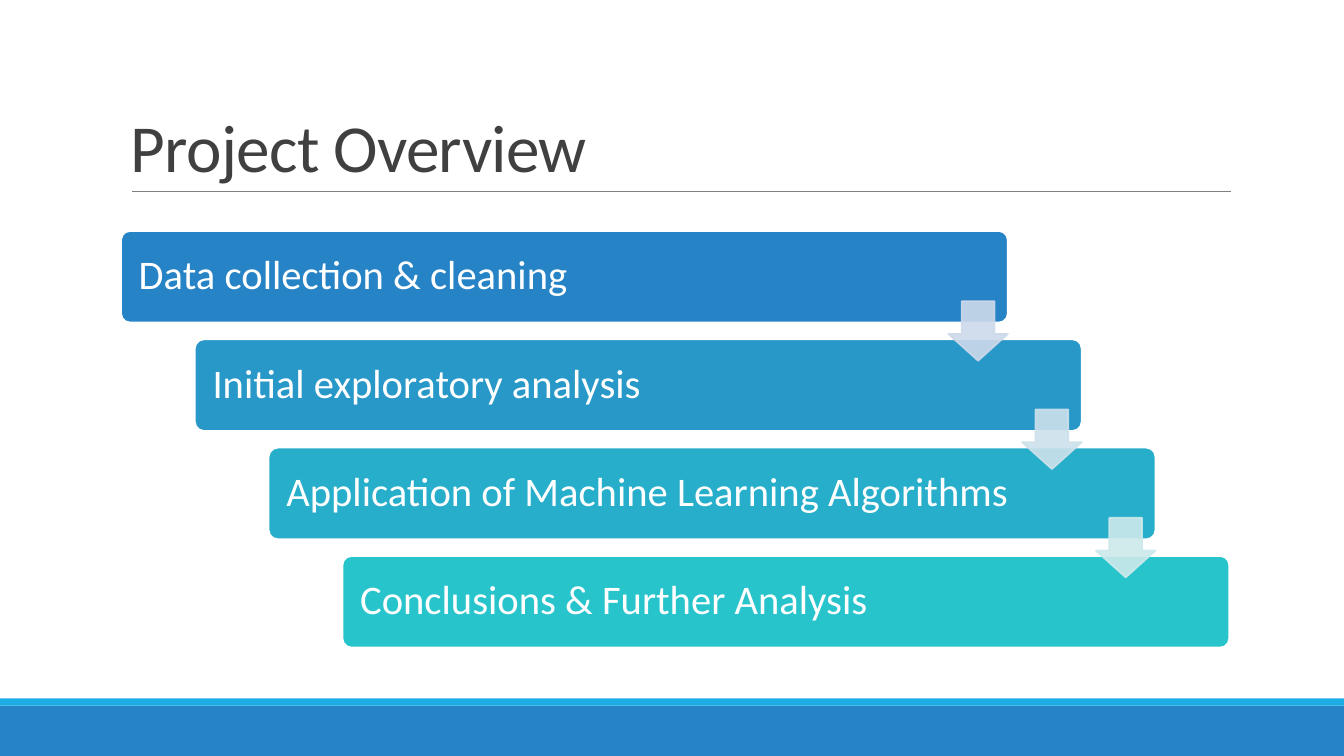
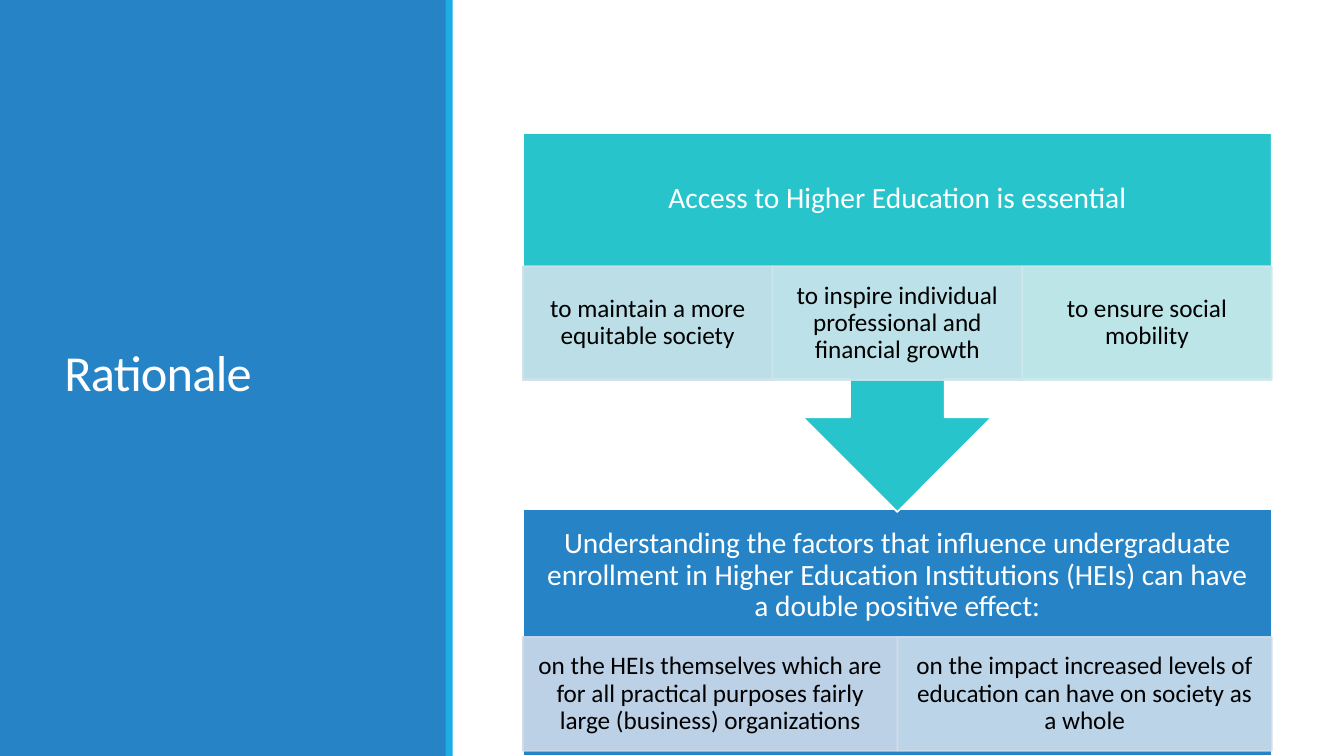
from lxml import etree
from pptx import Presentation
from pptx.dml.color import RGBColor
from pptx.enum.shapes import MSO_CONNECTOR, MSO_SHAPE
from pptx.enum.text import MSO_ANCHOR, MSO_AUTO_SIZE, PP_ALIGN
from pptx.oxml.ns import qn
from pptx.util import Cm, Pt

RECT = MSO_SHAPE.RECTANGLE
ROUNDED = MSO_SHAPE.ROUNDED_RECTANGLE
DOWN_ARROW = MSO_SHAPE.DOWN_ARROW
DOWN_CALLOUT = MSO_SHAPE.DOWN_ARROW_CALLOUT
STRAIGHT = MSO_CONNECTOR.STRAIGHT
LEFT, CENTER = PP_ALIGN.LEFT, PP_ALIGN.CENTER
MIDDLE, BOTTOM = MSO_ANCHOR.MIDDLE, MSO_ANCHOR.BOTTOM
NO_AUTOFIT = MSO_AUTO_SIZE.NONE

FONT = "Calibri"
WHITE = RGBColor(0xFF, 0xFF, 0xFF)
BLACK = RGBColor(0x00, 0x00, 0x00)
DARK_GRAY = RGBColor(0x40, 0x40, 0x40)
RULE_GRAY = RGBColor(0x80, 0x80, 0x80)
BLUE = RGBColor(0x26, 0x83, 0xC6)
SKY = RGBColor(0x1C, 0xAD, 0xE4)
BLUE_TEAL = RGBColor(0x27, 0x98, 0xC8)
TEAL = RGBColor(0x27, 0xAE, 0xCA)
TURQUOISE = RGBColor(0x28, 0xC4, 0xCC)
PALE_BLUE = RGBColor(0xCD, 0xD9, 0xEA)
PALE_SKY = RGBColor(0xCD, 0xDD, 0xEB)
PALE_TEAL = RGBColor(0xCD, 0xE1, 0xEB)
PALE_AQUA = RGBColor(0xCD, 0xE5, 0xEC)
PALE_TURQUOISE = RGBColor(0xCD, 0xE9, 0xEC)

SLIDE_W, SLIDE_H = 33.87, 19.05
STRIP = 0.18
TITLE = {"spacing": 0.85, "tracking": -50, "inset": (0.25, 0.13)}
HEADING = {"size": 21, "color": WHITE, "align": CENTER, "inset": (0.41, 0.41)}
DETAIL = {"size": 18, "color": BLACK, "align": CENTER, "inset": (0.36, 0.08)}


def add_box(slide, kind, left, top, width, height, fill, line=None, opacity=None):
    """Add a filled preset shape, placed in centimetres; opacity is in percent."""
    box = slide.shapes.add_shape(kind, Cm(left), Cm(top), Cm(width), Cm(height))
    box.shadow.inherit = False
    box.fill.solid()
    box.fill.fore_color.rgb = fill
    if line is None:
        box.line.fill.background()
    else:
        box.line.color.rgb = line
        box.line.width = Pt(1.25)
    if opacity is not None:
        for color in box._element.spPr.iter(qn("a:srgbClr")):
            etree.SubElement(color, qn("a:alpha"), val=str(opacity * 1000))
    return box


def write_text(shape, text, size, color, inset, align=LEFT, anchor=MIDDLE,
               spacing=0.9, tracking=None):
    """Fill a shape with one paragraph; inset is (sides, top and bottom) in cm."""
    frame = shape.text_frame
    frame.word_wrap = True
    frame.auto_size = NO_AUTOFIT
    frame.vertical_anchor = anchor
    frame.margin_left = frame.margin_right = Cm(inset[0])
    frame.margin_top = frame.margin_bottom = Cm(inset[1])
    paragraph = frame.paragraphs[0]
    paragraph.alignment = align
    paragraph.line_spacing = spacing
    run = paragraph.add_run()
    run.text = text
    run.font.name = FONT
    run.font.size = Pt(size)
    run.font.color.rgb = color
    if tracking is not None:
        run.font._element.set("spc", str(tracking))


prs = Presentation()
prs.slide_width, prs.slide_height = Cm(SLIDE_W), Cm(SLIDE_H)
title_only = prs.slide_layouts[5]

# Project overview: a staircase of steps
overview = prs.slides.add_slide(title_only)
add_box(overview, RECT, 0, 17.78, SLIDE_W, 1.27, BLUE)
add_box(overview, RECT, 0, 17.6, SLIDE_W, STRIP, SKY)

title = overview.shapes.title
title.left, title.top, title.width, title.height = Cm(3.05), Cm(0.79), Cm(27.94), Cm(4.04)
write_text(title, "Project Overview", size=48, color=DARK_GRAY, anchor=BOTTOM, **TITLE)

title_rule = overview.shapes.add_connector(STRAIGHT, Cm(3.33), Cm(4.83), Cm(31.01), Cm(4.83))
title_rule.line.color.rgb = RULE_GRAY
title_rule.line.width = Pt(0.5)
etree.SubElement(title_rule._element.spPr, qn("a:effectLst"))

STEP_X, STEP_Y = 1.86, 2.73
steps = [
    ("Data collection & cleaning", BLUE),
    ("Initial exploratory analysis", BLUE_TEAL),
    ("Application of Machine Learning Algorithms", TEAL),
    ("Conclusions & Further Analysis", TURQUOISE),
]
for i, (label, color) in enumerate(steps):
    step = add_box(overview, ROUNDED, 3.05 + i * STEP_X, 5.82 + i * STEP_Y,
                   22.35, 2.31, color, WHITE)
    step.adjustments[0] = 0.1
    write_text(step, label, size=29, color=WHITE, inset=(0.38, 0.3))

for i, color in enumerate([PALE_BLUE, PALE_TEAL, PALE_TURQUOISE]):
    arrow = add_box(overview, DOWN_ARROW, 23.9 + i * STEP_X, 7.59 + i * STEP_Y,
                    1.5, 1.5, color, color, opacity=90)
    arrow.adjustments[0] = 0.55
    arrow.adjustments[1] = 0.45

# Rationale: side panel and two stacked arguments
rationale = prs.slides.add_slide(title_only)
add_box(rationale, RECT, 0, 0, 11.25, SLIDE_H, BLUE)
add_box(rationale, RECT, 11.23, 0, STRIP, SLIDE_H, SKY)

title = rationale.shapes.title
rationale.shapes._spTree.append(title._element)  # bring in front of the panel
title.left, title.top, title.width, title.height = Cm(1.37), Cm(1.45), Cm(8.56), Cm(16.03)
write_text(title, "Rationale", size=36, color=WHITE, **TITLE)

ARGUMENT_LEFT, ARGUMENT_W = 13.18, 18.87
HEADING_H, DETAIL_H = 3.35, 2.87
arguments = [
    (RECT, 12.83, 6.22, 16.05, BLUE,
     "Understanding the factors that influence undergraduate enrollment in "
     "Higher Education Institutions (HEIs) can have a double positive effect:",
     [("on the HEIs themselves which are for all practical purposes fairly "
       "large (business) organizations", PALE_BLUE),
      ("on the impact increased levels of education can have on society as a whole",
       PALE_SKY)]),
    (DOWN_CALLOUT, 3.35, 9.55, 6.71, TURQUOISE,
     "Access to Higher Education is essential",
     [("to maintain a more equitable society", PALE_TEAL),
      ("to inspire individual professional and financial growth", PALE_AQUA),
      ("to ensure social mobility", PALE_TURQUOISE)]),
]
for kind, top, height, detail_top, color, heading, details in arguments:
    add_box(rationale, kind, ARGUMENT_LEFT, top, ARGUMENT_W, height, color, WHITE)
    heading_box = rationale.shapes.add_textbox(
        Cm(ARGUMENT_LEFT), Cm(top), Cm(ARGUMENT_W), Cm(HEADING_H))
    write_text(heading_box, heading, **HEADING)
    detail_w = ARGUMENT_W / len(details)
    for i, (detail, pale) in enumerate(details):
        cell = add_box(rationale, RECT, ARGUMENT_LEFT + i * detail_w, detail_top,
                       detail_w, DETAIL_H, pale, pale, opacity=90)
        write_text(cell, detail, **DETAIL)

prs.save("out.pptx")
